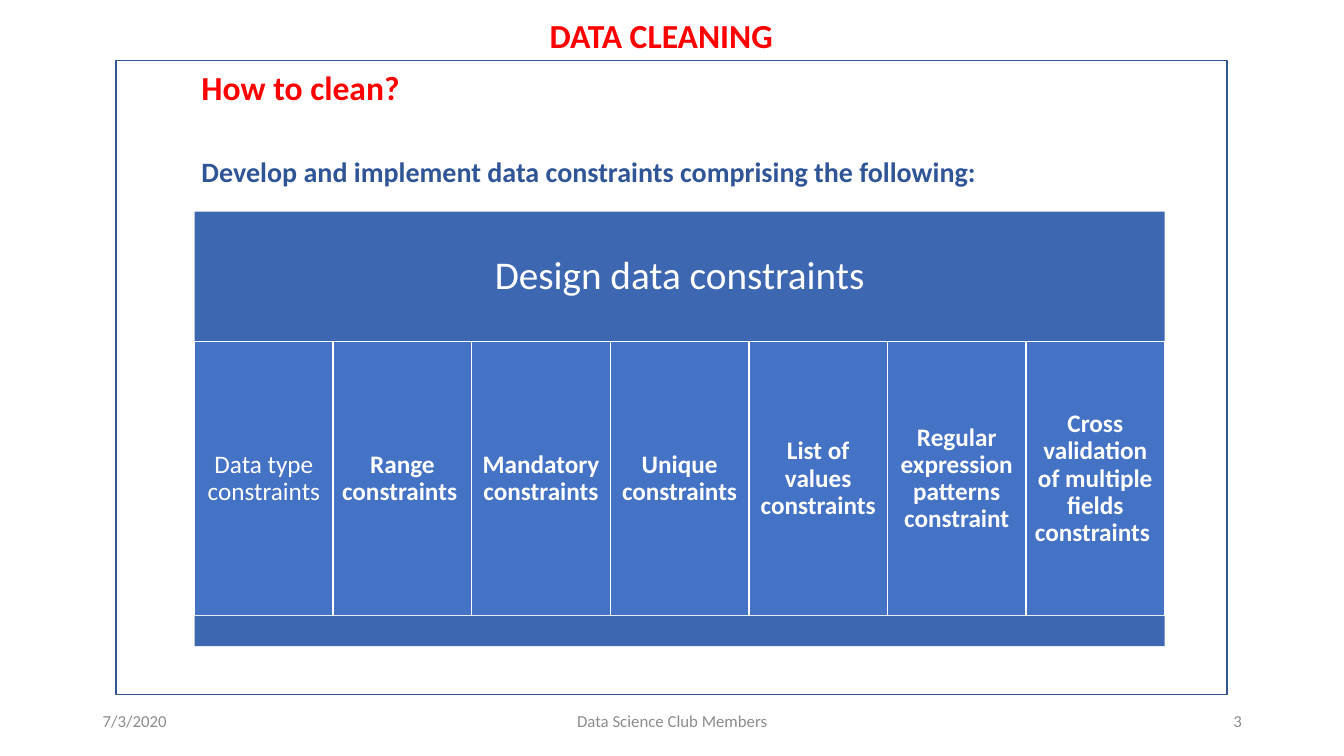
from pptx import Presentation
from pptx.util import Inches, Pt
from pptx.dml.color import RGBColor
from pptx.enum.shapes import MSO_SHAPE as Kind
from pptx.enum.text import PP_ALIGN as Align, MSO_ANCHOR as Anchor

RED, NAVY, DARK, BLUE = "FF0000", "2F5597", "3E67B2", "4472C4"
WHITE, GREY, EDGE = "FFFFFF", "8C8C8C", "325491"

TITLE = "DATA CLEANING"
INTRO = [
    ("How to clean?", 24, RED, 0),
    ("Develop and implement data constraints comprising the following:", 20, NAVY, 34),
]
HEAD = "Design data constraints"
RULES = [
    "Data type constraints",
    "Range constraints ",
    "Mandatory constraints",
    "Unique constraints",
    "List of values constraints",
    "Regular expression patterns constraint",
    "Cross validation of multiple fields constraints  ",
]
FOOT = [
    ("7/3/2020", 6.9, 22.5, Align.LEFT),
    ("Data Science Club Members", 33.15, 33.75, Align.CENTER),
    ("3", 70.65, 22.5, Align.RIGHT),
]
LEFT, WIDE = 14.48, 72.17
ROWS = [28, 45.2, 81.47, 85.47]

deck = Presentation()
deck.slide_width, deck.slide_height = Inches(13.33), Inches(7.5)
slide = deck.slides.add_slide(deck.slide_layouts[6])


def tint(code):
    """Turn a hex string into a colour."""
    return RGBColor.from_string(code)


def place(x, y, w, h):
    """Turn percentages of the slide into lengths."""
    across, down = deck.slide_width / 100, deck.slide_height / 100
    return int(x * across), int(y * down), int(w * across), int(h * down)


def style(para, size, color, bold=False, align=Align.LEFT, lines=None):
    """Format one paragraph and its runs."""
    para.alignment = align
    if lines:
        para.line_spacing = lines
    for run in para.runs:
        font = run.font
        font.name, font.size, font.bold = "Calibri", Pt(size), bold
        font.color.rgb = tint(color)


def label(area, text, size, color, anchor=Anchor.MIDDLE, **look):
    """Add a one-paragraph text box."""
    frame = slide.shapes.add_textbox(*place(*area)).text_frame
    frame.word_wrap, frame.vertical_anchor = True, anchor
    frame.text = text
    style(frame.paragraphs[0], size, color, **look)


def block(area, fill=None, line=None, text="", size=18, bold=False, pad=0.07):
    """Add a rectangle with centred white text."""
    box = slide.shapes.add_shape(Kind.RECTANGLE, *place(*area))
    box.shadow.inherit = False
    if fill:
        box.fill.solid()
        box.fill.fore_color.rgb = tint(fill)
    else:
        box.fill.background()
    if line:
        box.line.color.rgb = tint(line)
        box.line.width = Pt(1)
    else:
        box.line.fill.background()
    if text:
        frame = box.text_frame
        frame.word_wrap, frame.vertical_anchor = True, Anchor.MIDDLE
        frame.margin_left = frame.margin_right = Inches(pad)
        frame.margin_top = frame.margin_bottom = Inches(pad)
        frame.text = text
        style(frame.paragraphs[0], size, WHITE, bold, Align.CENTER, 0.9)


def main():
    """Build and save the slide."""
    label((11.7, 1.47, 75, 6.53), TITLE, 24, RED, Anchor.BOTTOM,
          bold=True, align=Align.CENTER, lines=0.9)

    frame = slide.shapes.add_textbox(*place(14.25, 8.13, 72.47, 22)).text_frame
    frame.word_wrap = True
    frame.text = "\n".join(item[0] for item in INTRO)
    for para, (_, size, color, gap) in zip(frame.paragraphs, INTRO):
        style(para, size, color, True)
        para.space_before = Pt(gap)

    block((8.63, 8, 82.67, 83.87), line=EDGE)
    top, mid, low, end = ROWS
    block((LEFT, top, WIDE, mid - top), DARK, text=HEAD, size=28, pad=0.12)
    step = WIDE / len(RULES)
    for i, rule in enumerate(RULES):
        block((LEFT + i * step, mid, step, low - mid), BLUE, WHITE, rule, bold=i > 0)
    block((LEFT, low, WIDE, end - low), DARK)

    for text, x, w, align in FOOT:
        label((x, 92.67, w, 5.33), text, 12, GREY, align=align)
    deck.save("out.pptx")


if __name__ == "__main__":
    main()
